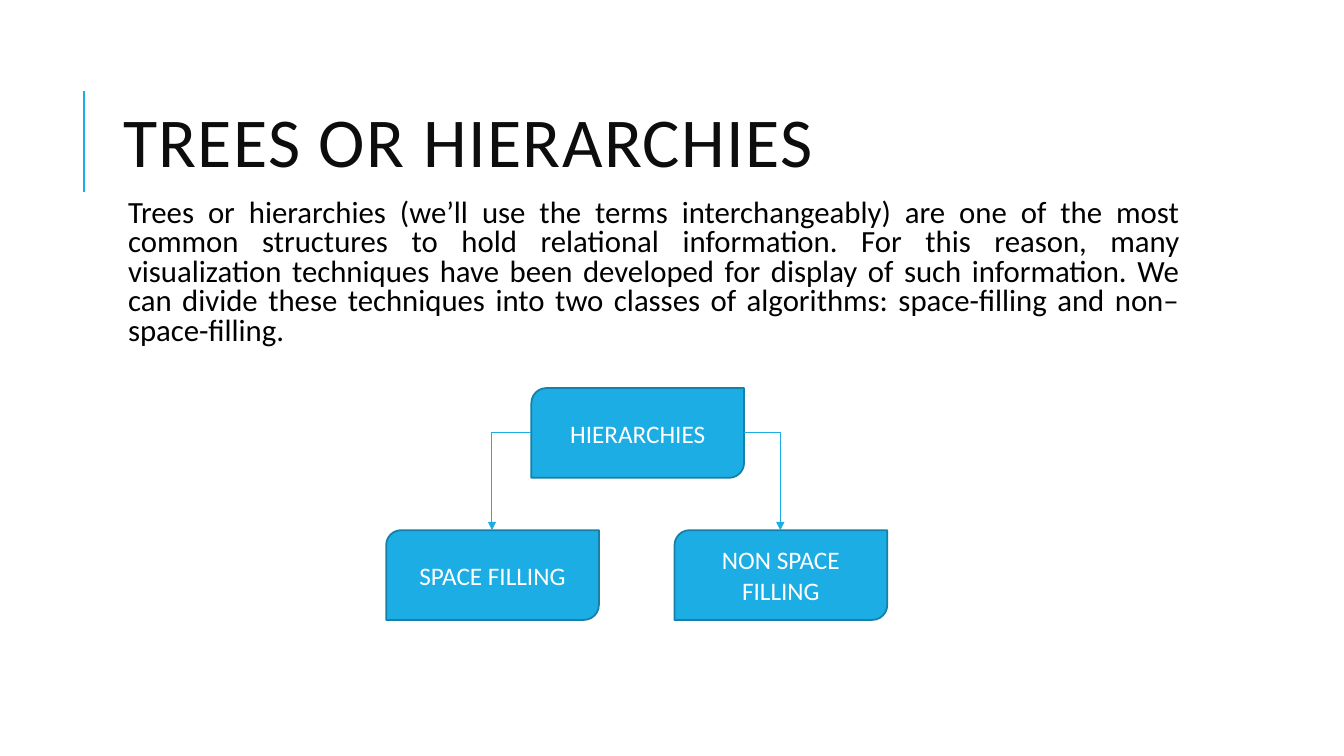
"""Build a slide that splits hierarchies into two classes of algorithms."""
from lxml import etree
from pptx import Presentation
from pptx import util as u
from pptx.dml.color import RGBColor
from pptx.enum import shapes, text
from pptx.oxml import ns

PX = 9144
FONT = "Calibri"
BLUE = RGBColor(0x1C, 0xAD, 0xE4)
DARK_BLUE = RGBColor(0x15, 0x80, 0xA9)
INK = RGBColor(0x0D, 0x0D, 0x0D)
BLACK = RGBColor(0, 0, 0)
WHITE = RGBColor(255, 255, 255)

NODE_WIDTH, NODE_HEIGHT = 211, 89
ROOT_LEFT, ROOT_TOP, CLASS_TOP = 527, 385, 526
CLASSES = [("SPACE FILLING", 383, ROOT_LEFT),
           ("NON SPACE FILLING", 669, ROOT_LEFT + NODE_WIDTH)]
INTRO = ("Trees or hierarchies (we’ll use the terms interchangeably) are one of "
         "the most common structures to hold relational information. For this "
         "reason, many visualization techniques have been developed for display "
         "of such information. We can divide these techniques into two classes "
         "of algorithms: space-filling and non–space-filling.")


def px(*lengths):
    return [u.Emu(length * PX) for length in lengths]


def add_run(para, words, size, color):
    span = para.add_run()
    span.text = words
    span.font.name = FONT
    span.font.size = u.Pt(size)
    span.font.color.rgb = color
    return span


def place(holder, *bounds):
    holder.left, holder.top, holder.width, holder.height = px(*bounds)


def fill_title(holder, words):
    place(holder, 112, 64, 1063, 164)
    holder.text_frame.vertical_anchor = text.MSO_ANCHOR.MIDDLE
    para = holder.text_frame.paragraphs[0]
    para.alignment = text.PP_ALIGN.LEFT
    para.line_spacing = 0.8
    span = add_run(para, words, 50, INK)
    span.font._element.set("spc", "100")


def fill_body(holder, words):
    place(holder, 112, 193, 1063, 140)
    frame = holder.text_frame
    frame.margin_left, frame.margin_top, frame.margin_right, frame.margin_bottom = px(5, 5, 5, 5)
    frame.auto_size = text.MSO_AUTO_SIZE.NONE
    para = frame.paragraphs[0]
    props = para._p.get_or_add_pPr()
    props.set("marL", str(10 * PX))
    props.set("indent", "0")
    etree.SubElement(props, ns.qn("a:buNone"))
    para.alignment = text.PP_ALIGN.JUSTIFY
    para.line_spacing = 0.8
    para.space_before = u.Pt(0)
    para.space_after = u.Pt(2)
    add_run(para, words, 22, BLACK)


def add_node(page, words, left, top):
    box = page.shapes.add_shape(shapes.MSO_SHAPE.ROUND_2_DIAG_RECTANGLE,
                                *px(left, top, NODE_WIDTH, NODE_HEIGHT))
    box.shadow.inherit = False
    box.fill.solid()
    box.fill.fore_color.rgb = BLUE
    box.line.color.rgb = DARK_BLUE
    box.line.width = u.Pt(1.25)
    box.text_frame.word_wrap = True
    box.text_frame.vertical_anchor = text.MSO_ANCHOR.MIDDLE
    para = box.text_frame.paragraphs[0]
    para.alignment = text.PP_ALIGN.CENTER
    add_run(para, words, 18, WHITE)


def add_line(page, kind, ends, width):
    line = page.shapes.add_connector(kind, *px(*ends))
    line.line.color.rgb = BLUE
    line.line.width = u.Pt(width)
    etree.SubElement(line._element.spPr, ns.qn("a:effectLst"))
    return line


def add_bent_arrow(page, *ends):
    arrow = add_line(page, shapes.MSO_CONNECTOR.ELBOW, ends, 0.75)
    props = arrow._element.spPr
    props.find(ns.qn("a:prstGeom")).set("prst", "bentConnector2")
    etree.SubElement(props.find(ns.qn("a:ln")), ns.qn("a:tailEnd"), type="triangle")


def main():
    deck = Presentation()
    deck.slide_width, deck.slide_height = px(1333, 750)
    page = deck.slides.add_slide(deck.slide_layouts[1])
    add_line(page, shapes.MSO_CONNECTOR.STRAIGHT, (83, 190, 83, 90), 1.5)
    fill_title(page.shapes.title, "TREES OR HIERARCHIES")
    fill_body(page.placeholders[1], INTRO)
    add_node(page, "HIERARCHIES", ROOT_LEFT, ROOT_TOP)
    for words, left, root_side in CLASSES:
        add_node(page, words, left, CLASS_TOP)
        add_bent_arrow(page, root_side, ROOT_TOP + NODE_HEIGHT // 2,
                       left + NODE_WIDTH // 2, CLASS_TOP)
    deck.save("out.pptx")


if __name__ == "__main__":
    main()
